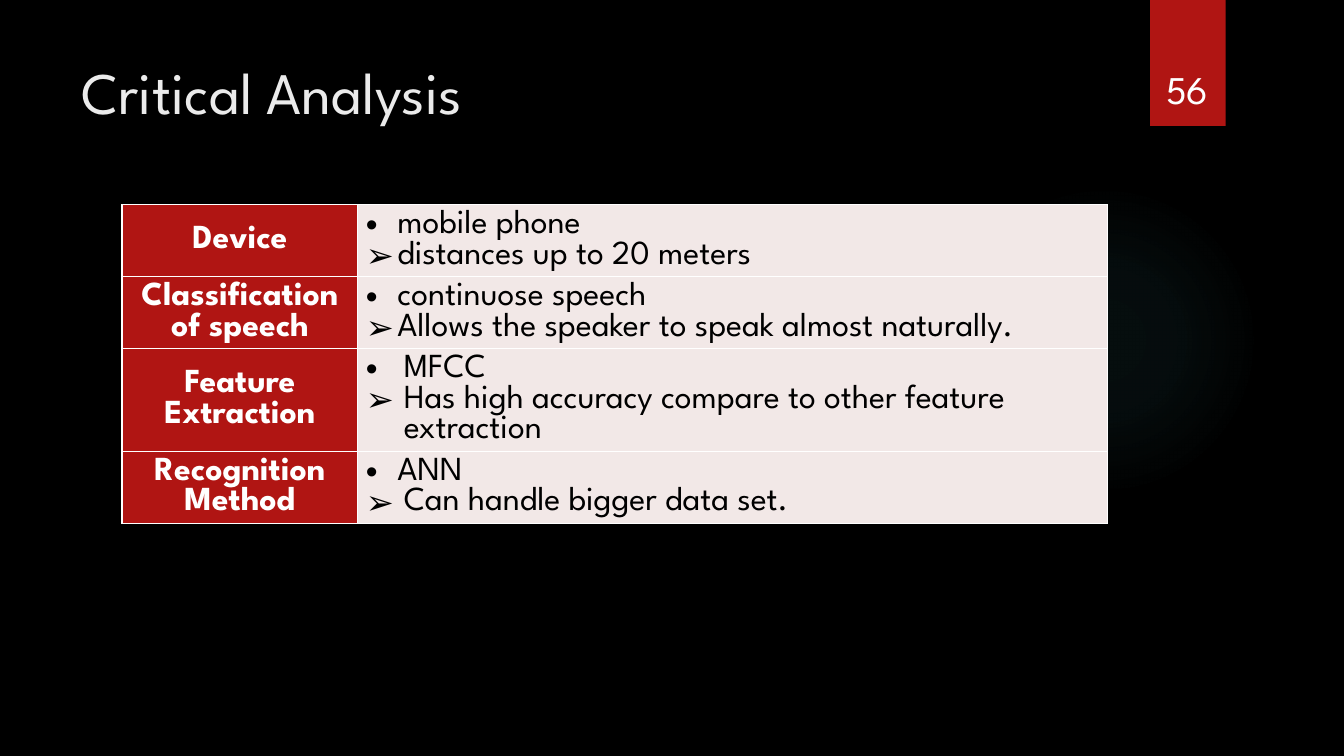
import pptx
import pptx.util
import pptx.oxml
import pptx.oxml.ns
import pptx.dml.color
import pptx.enum.shapes
import pptx.enum.text

Pt = pptx.util.Pt
ANCHOR = pptx.enum.text.MSO_ANCHOR
ALIGN = pptx.enum.text.PP_ALIGN
SHAPE = pptx.enum.shapes.MSO_SHAPE

TITLE = "Critical Analysis"
PAGE_NUMBER = "56"
# Each criterion: heading, lines of text it needs, (bullet, indent, text) points
CRITERIA = [
    ("Device", 2, [("•", 22.5, "mobile phone"),
                   ("➢", 22.5, "distances up to 20 meters")]),
    ("Classification of speech", 2, [
        ("•", 22.5, "continuose speech"),
        ("➢", 22.5, "Allows the speaker to speak almost naturally.")]),
    ("Feature Extraction", 3, [
        ("•", 27, "MFCC"),
        ("➢", 27, "Has high accuracy compare to other feature extraction")]),
    ("Recognition Method", 2, [("•", 22.5, "ANN"),
                               ("➢", 27, "Can handle bigger data set.")]),
]
COLORS = {"background": "000000", "accent": "B01513", "title": "EBEBEB",
          "light": "FFFFFF", "dark": "000000", "panel": "F2E8E7",
          "glow": "50B9C1"}
FONT = "League Spartan"
GLOW_STOPS = [(0, 7), (36, 6), (69, 0)]  # position %, opacity %
COLUMN_WIDTHS = [168.5, 535.7]
TABLE_LEFT, TABLE_TOP = 87.1, 146.2
LINE_HEIGHT, CELL_PADDING = 22.1, 7.2
CELL_FORMAT = {"margin_left": Pt(5.8), "margin_right": Pt(5.8),
               "margin_top": Pt(3.6), "margin_bottom": Pt(3.6)}


def rgb(name):
    return pptx.dml.color.RGBColor.from_string(COLORS[name])


def xml(markup):
    namespace = pptx.oxml.ns.nsdecls("a")
    return pptx.oxml.parse_xml(markup.replace(">", f" {namespace}>", 1))


def write(paragraph, text, size, color, bold=False, align=None):
    run = paragraph.add_run()
    run.text = text
    run.font.color.rgb = rgb(color)
    for key, value in {"name": FONT, "size": Pt(size), "bold": bold}.items():
        setattr(run.font, key, value)
    paragraph.alignment = align


def place(shape, *box):
    for key, value in zip(("left", "top", "width", "height"), box):
        setattr(shape, key, Pt(value))


def plain_shape(slide, kind, *box):
    shape = slide.shapes.add_shape(kind, *map(Pt, box))
    shape.shadow.inherit = False
    shape.line.fill.background()
    return shape


def add_glow(slide):
    glow = plain_shape(slide, SHAPE.OVAL, 677.5, 131.8, 221.8, 221.8)
    stops = "".join(
        f'<a:gs pos="{position * 1000}"><a:srgbClr val="{COLORS["glow"]}">'
        f'<a:alpha val="{opacity * 1000}"/></a:srgbClr></a:gs>'
        for position, opacity in GLOW_STOPS)
    gradient = xml(
        f'<a:gradFill><a:gsLst>{stops}</a:gsLst><a:path path="circle">'
        '<a:fillToRect l="50000" t="50000" r="50000" b="50000"/>'
        '</a:path></a:gradFill>')
    properties = glow.element.spPr
    properties.find(pptx.oxml.ns.qn("a:prstGeom")).addnext(gradient)


def add_page_number(slide):
    ribbon = plain_shape(slide, SHAPE.RECTANGLE, 821.5, 0, 54, 90)
    ribbon.fill.solid()
    ribbon.fill.fore_color.rgb = rgb("accent")
    number = slide.shapes.add_textbox(*map(Pt, (815, 23, 66.2, 60.5)))
    number.text_frame.word_wrap = True
    number.text_frame.vertical_anchor = ANCHOR.BOTTOM
    write(number.text_frame.paragraphs[0], PAGE_NUMBER, 28, "light",
          align=ALIGN.CENTER)


def add_title(slide):
    title = slide.shapes.title
    place(title, 51.1, 36, 740.9, 110.2)
    title.text_frame.vertical_anchor = ANCHOR.TOP
    title.text_frame.auto_size = pptx.enum.text.MSO_AUTO_SIZE.NONE
    write(title.text_frame.paragraphs[0], TITLE, 42, "title", align=ALIGN.LEFT)


def format_cell(cell, fill, anchor):
    for key, value in CELL_FORMAT.items():
        setattr(cell, key, value)
    cell.vertical_anchor = anchor
    for side in "LRTB":
        cell._tc.get_or_add_tcPr().append(xml(
            f'<a:ln{side} w="{Pt(1)}"><a:solidFill><a:srgbClr '
            f'val="{COLORS["light"]}"/></a:solidFill></a:ln{side}>'))
    cell.fill.solid()
    cell.fill.fore_color.rgb = rgb(fill)


def add_bullet(paragraph, mark, indent):
    properties = paragraph._p.get_or_add_pPr()
    properties.set("marL", str(Pt(indent)))
    properties.set("indent", str(-Pt(indent)))
    properties.append(xml('<a:buFont typeface="Arial"></a:buFont>'))
    properties.append(xml(f'<a:buChar char="{mark}"></a:buChar>'))


def add_criteria(slide):
    heights = [lines * LINE_HEIGHT + CELL_PADDING for _, lines, _ in CRITERIA]
    table = slide.shapes.add_table(
        len(CRITERIA), len(COLUMN_WIDTHS), Pt(TABLE_LEFT), Pt(TABLE_TOP),
        Pt(sum(COLUMN_WIDTHS)), Pt(sum(heights))).table
    table.first_row = table.horz_banding = False
    for column, width in zip(table.columns, COLUMN_WIDTHS):
        column.width = Pt(width)
    for row, height, (heading, _, points) in zip(table.rows, heights, CRITERIA):
        row.height = Pt(height)
        heading_cell, points_cell = row.cells
        format_cell(heading_cell, "accent", ANCHOR.MIDDLE)
        format_cell(points_cell, "panel", ANCHOR.TOP)
        write(heading_cell.text_frame.paragraphs[0], heading, 24, "light",
              bold=True, align=ALIGN.CENTER)
        frame = points_cell.text_frame
        for index, (mark, indent, text) in enumerate(points):
            paragraph = frame.add_paragraph() if index else frame.paragraphs[0]
            write(paragraph, text, 24, "dark")
            add_bullet(paragraph, mark, indent)


def main():
    deck = pptx.Presentation()
    deck.slide_width, deck.slide_height = Pt(960), Pt(540)
    slide = deck.slides.add_slide(deck.slide_layouts.get_by_name("Title Only"))
    slide.background.fill.solid()
    slide.background.fill.fore_color.rgb = rgb("background")
    add_glow(slide)
    add_title(slide)
    add_criteria(slide)
    add_page_number(slide)
    deck.save("out.pptx")


if __name__ == "__main__":
    main()
